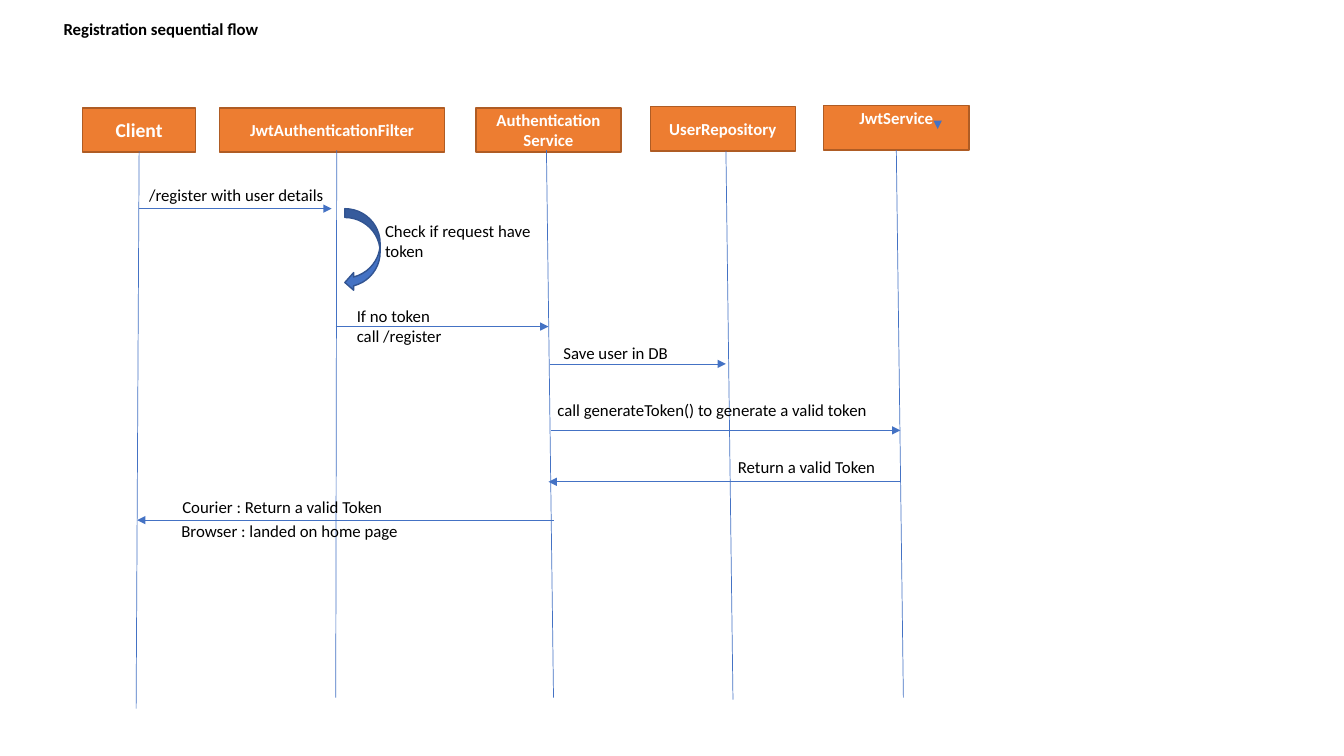
from dataclasses import dataclass

from lxml.etree import SubElement
from pptx import Presentation
from pptx.dml.color import RGBColor
from pptx.enum.shapes import MSO_CONNECTOR, MSO_SHAPE
from pptx.enum.text import MSO_ANCHOR, MSO_AUTO_SIZE, PP_ALIGN
from pptx.oxml.ns import qn
from pptx.util import Pt

EMU_PER_PX = 9144  # 100 px to the inch
TITLE_ONLY = 5


@dataclass(frozen=True)
class Theme:
    font: str = "Calibri"
    text: str = "000000"
    head_text: str = "FFFFFF"
    head_fill: str = "ED7D31"
    head_line: str = "AF5C24"
    flow: str = "4472C4"
    loop_line: str = "325491"
    body_size: int = 12
    client_size: int = 14
    thin: float = 0.5
    outline: float = 1


THEME = Theme()


@dataclass(frozen=True)
class Box:
    left: int
    top: int
    width: int
    height: int

    def inner(self, left, top, width, height):
        return Box(self.left + left, self.top + top, width, height)

    def emu(self):
        return [px(n) for n in (self.left, self.top, self.width, self.height)]


def px(length):
    return length * EMU_PER_PX


def rgb(colour):
    return RGBColor.from_string(colour)


def write(frame, text, colour, size=THEME.body_size, bold=False, align=PP_ALIGN.LEFT):
    frame.text = text
    frame.word_wrap = True
    for paragraph in frame.paragraphs:
        paragraph.alignment = align
        for run in paragraph.runs:
            run.font.name = THEME.font
            run.font.size = Pt(size)
            run.font.bold = bold
            run.font.color.rgb = rgb(colour)


def add_label(slide, box, text):
    label = slide.shapes.add_textbox(*box.emu())
    write(label.text_frame, text, THEME.text)
    label.text_frame.auto_size = MSO_AUTO_SIZE.SHAPE_TO_FIT_TEXT


def add_block(slide, preset, box, fill, outline):
    block = slide.shapes.add_shape(preset, *box.emu())
    block.shadow.inherit = False
    block.fill.solid()
    block.fill.fore_color.rgb = rgb(fill)
    block.line.color.rgb = rgb(outline)
    block.line.width = Pt(THEME.outline)
    return block


def add_flow_line(slide, box, start, end, arrow=False):
    """Draw a line between two points given relative to the box."""
    ends = [px(n) for x, y in (start, end) for n in (box.left + x, box.top + y)]
    line = slide.shapes.add_connector(MSO_CONNECTOR.STRAIGHT, *ends)
    line.line.color.rgb = rgb(THEME.flow)
    line.line.width = Pt(THEME.thin)
    properties = line._element.spPr
    if arrow:
        SubElement(properties.find(qn("a:ln")), qn("a:tailEnd"), type="triangle")
    SubElement(properties, qn("a:effectLst"))


def add_title(slide, box):
    title = slide.shapes.title
    title.left, title.top, title.width, title.height = box.emu()
    frame = title.text_frame
    write(frame, "Registration sequential flow", THEME.text, bold=True)
    frame.vertical_anchor = MSO_ANCHOR.TOP
    frame.auto_size = MSO_AUTO_SIZE.NONE


def add_participants(slide, box):
    head_height = 44
    # name, head left, top and width, lifeline start and end, text size
    participants = [
        ("Client", 0, 2, 112, (56, 45), (53, 598), THEME.client_size),
        ("JwtAuthenticationFilter", 136, 2, 223, (252, 44), (251, 587), THEME.body_size),
        ("Authentication\nService", 390, 2, 144, (460, 44), (467, 587), THEME.body_size),
        ("UserRepository", 563, 1, 144, (638, 45), (645, 589), THEME.body_size),
        ("JwtService", 735, 0, 144, (807, 44), (814, 587), THEME.body_size),
    ]
    for name, left, top, width, start, end, size in participants:
        head = add_block(slide, MSO_SHAPE.RECTANGLE,
                         box.inner(left, top, width, head_height),
                         THEME.head_fill, THEME.head_line)
        frame = head.text_frame
        write(frame, name, THEME.head_text, size, True, PP_ALIGN.CENTER)
        frame.vertical_anchor = MSO_ANCHOR.MIDDLE
        add_flow_line(slide, box, start, end)

    # The last head has its name at the top, beside a small arrowhead
    frame.vertical_anchor = MSO_ANCHOR.TOP
    frame.margin_top = px(2)
    add_flow_line(slide, box, (848, 22), (848, 23), arrow=True)


def add_messages(slide, box):
    # arrow start x, end x and y
    arrows = [
        (5, 196, 29),
        (200, 411, 146),
        (412, 587, 183),
        (414, 760, 249),
        (760, 411, 300),
        (416, 3, 338),
    ]
    for start, end, y in arrows:
        add_flow_line(slide, box, (start, y), (end, y), arrow=True)

    # Token check inside the filter
    add_block(slide, MSO_SHAPE.CURVED_LEFT_ARROW, box.inner(209, 29, 35, 82),
              THEME.flow, THEME.loop_line)

    # text, left, top, width, height
    labels = [
        ("/register with user details", 5, 0, 198, 30),
        ("Check if request have token", 239, 36, 189, 50),
        ("If no token\ncall /register", 211, 120, 205, 50),
        ("Save user in DB", 416, 157, 185, 30),
        ("call generateToken() to generate a valid token", 410, 214, 333, 30),
        ("Return a valid Token", 589, 270, 174, 30),
        ("Courier : Return a valid Token", 38, 310, 365, 30),
        ("Browser : landed on home page", 37, 334, 365, 30),
    ]
    for text, *place in labels:
        add_label(slide, box.inner(*place), text)


def main():
    deck = Presentation()
    deck.slide_width, deck.slide_height = px(1333), px(750)
    slide = deck.slides.add_slide(deck.slide_layouts[TITLE_ONLY])
    add_title(slide, Box(53, 14, 232, 30))
    add_participants(slide, Box(82, 105, 879, 598))
    add_messages(slide, Box(133, 178, 763, 364))
    deck.save("out.pptx")


if __name__ == "__main__":
    main()
